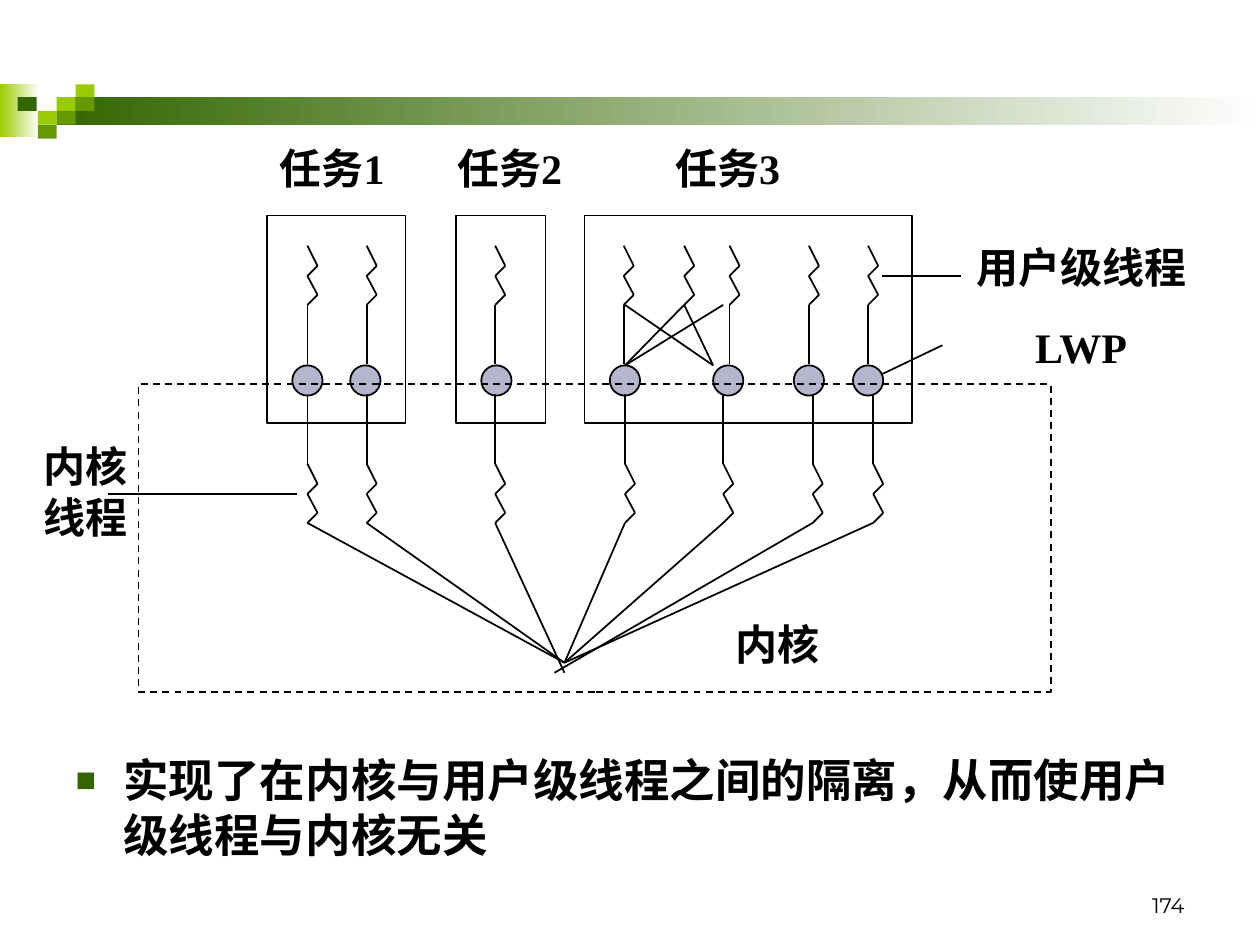
from lxml import etree
from pptx import Presentation
from pptx.dml.color import RGBColor
from pptx.enum import dml, shapes, text
from pptx.oxml import ns
from pptx.util import Inches, Pt

HUES = {"ink": "000000", "white": "FFFFFF", "dark": "336600",
        "mid": "669900", "lime": "99CC00", "node": "666699"}
RGB = {name: RGBColor.from_string(hue) for name, hue in HUES.items()}

deck = Presentation()
deck.slide_width, deck.slide_height = Inches(10), Inches(7.5)
slide = deck.slides.add_slide(deck.slide_layouts[1])
title = slide.shapes.title
title.element.getparent().remove(title.element)


def shape(kind, x, y, w, h, fill=None, line=None):
    """Add a preset shape; a pair of fill names makes a gradient to the right."""
    item = slide.shapes.add_shape(kind, *map(Inches, (x, y, w, h)))
    item.shadow.inherit = False
    if isinstance(fill, tuple):
        item.fill.gradient()
        item.fill.gradient_angle = 0
        for stop, name, spot in zip(item.fill.gradient_stops, fill, (0, 1)):
            stop.color.rgb = RGB[name]
            stop.position = spot
    elif fill:
        item.fill.solid()
        item.fill.fore_color.rgb = RGB[fill]
    else:
        item.fill.background()
    if line:
        item.line.color.rgb = RGB[line]
        item.line.width = Pt(1)
    else:
        item.line.fill.background()
    return item


def trace(*points):
    """Draw straight lines from each point to the next."""
    for start, end in zip(points, points[1:]):
        item = slide.shapes.add_connector(
            shapes.MSO_CONNECTOR.STRAIGHT, *map(Inches, start + end))
        item.line.color.rgb = RGB["ink"]
        item.line.width = Pt(1)
        etree.SubElement(item._element.spPr, ns.qn("a:effectLst"))


RECT, OVAL = shapes.MSO_SHAPE.RECTANGLE, shapes.MSO_SHAPE.OVAL

# Header band and its mosaic of small tiles
shape(RECT, 0, 0.67, 0.31, 0.42, ("lime", "white"))
shape(RECT, 0.45, 0.77, 9.55, 0.22, ("dark", "white"))
for x, y, name in [(0.45, 0.77, "lime"), (0.6, 0.67, "lime"), (0.6, 0.77, "mid"),
                   (0.3, 0.88, "lime"), (0.14, 0.77, "dark"),
                   (0.45, 0.88, "mid"), (0.3, 0.99, "mid")]:
    shape(RECT, x, y, 0.15, 0.11, name)

# Task boxes
for x, w in [(2.12, 1.1), (3.62, 0.71), (4.64, 2.6)]:
    shape(RECT, x, 1.71, w, 1.65, line="ink")

# Threads: zigzags drawn as (sideways, down) steps
ZIG = [(0, 0), (0.08, 0.16), (0, 0.24), (0.08, 0.39), (0, 0.47)]
for x in (2.44, 2.91, 3.93, 4.95, 5.43, 5.79, 6.42, 6.89):
    trace(*[(x + dx, 1.95 + dy) for dx, dy in ZIG])
    if x != 5.43:
        trace((x, 2.42), (x, 2.89))

HUB = (4.48, 5.26)
for x, end in [(2.44, HUB), (2.91, HUB), (3.93, (4.48, 5.34)), (4.96, HUB),
               (5.74, HUB), (6.45, (4.4, 5.34)), (6.93, HUB)]:
    trace((x, 3.13), *[(x + dx, 3.68 + dy) for dx, dy in ZIG], end)

# Lightweight processes and the crossing links of task 3
for x in (2.32, 2.78, 3.82, 4.84, 5.66, 6.3, 6.77):
    node = shape(OVAL, x, 2.9, 0.24, 0.24, "node", "ink")
    tint = node._element.spPr.find(ns.qn("a:solidFill"))[0]
    etree.SubElement(tint, ns.qn("a:alpha"), val="48000")
for top, foot in [(4.96, 5.66), (5.43, 5.66), (5.74, 4.96), (5.43, 4.96)]:
    trace((top, 2.42), (foot, 2.9))

kernel = shape(RECT, 1.1, 3.05, 7.24, 2.44, line="ink")
kernel.line.dash_style = dml.MSO_LINE.DASH

# Pointers from the labels
trace((7, 2.19), (7.63, 2.19))
trace((7, 2.97), (7.48, 2.74))
trace((2.36, 3.92), (0.86, 3.92))

# Labels
for words, x, y, w, h in [
        ("任务1", 2.08, 1.08, 1.11, 0.5), ("任务2", 3.49, 1.08, 1.11, 0.5),
        ("任务3", 5.22, 1.08, 1.11, 0.5), ("用户级线程", 7.63, 1.87, 1.9, 0.5),
        ("LWP", 8.1, 2.5, 0.96, 0.5), ("内核\n线程", 0.23, 3.45, 0.9, 0.9),
        ("内核", 5.72, 4.86, 0.9, 0.5)]:
    label = slide.shapes.add_textbox(*map(Inches, (x, y, w, h))).text_frame
    label.word_wrap = False
    label.auto_size = text.MSO_AUTO_SIZE.SHAPE_TO_FIT_TEXT
    label.text = words
    for para in label.paragraphs:
        para.alignment = text.PP_ALIGN.CENTER
        font = para.runs[0].font
        font.name, font.size, font.bold = "Times New Roman", Pt(24), True
        font.color.rgb = RGB["ink"]

# Conclusion
body = slide.placeholders[1]
body.left, body.top, body.width, body.height = map(Inches, (0.5, 5.92, 9, 1))
frame = body.text_frame
frame.auto_size = text.MSO_AUTO_SIZE.NONE
frame.text = "实现了在内核与用户级线程之间的隔离，从而使用户级线程与内核无关"
para = frame.paragraphs[0]
props = para._p.get_or_add_pPr()
props.set("marL", str(Inches(0.38)))
props.set("indent", str(Inches(-0.38)))
para.space_before = Pt(0)
tone = etree.SubElement(props, ns.qn("a:buClr"))
etree.SubElement(tone, ns.qn("a:srgbClr"), val=HUES["dark"])
etree.SubElement(props, ns.qn("a:buSzPct"), val="75000")
etree.SubElement(props, ns.qn("a:buFont"), typeface="Arial")
etree.SubElement(props, ns.qn("a:buChar"), char="■")
font = para.runs[0].font
font.name, font.size, font.bold = "Arial", Pt(26), True
font.color.rgb = RGB["ink"]

# Page number
page = slide.shapes.add_textbox(*map(Inches, (7.17, 6.83, 2.33, 0.5))).text_frame
page.word_wrap = True
page.vertical_anchor = text.MSO_ANCHOR.BOTTOM
page.text = "174"
para = page.paragraphs[0]
para.alignment = text.PP_ALIGN.RIGHT
font = para.runs[0].font
font.name, font.size = "Montserrat", Pt(12)
font.color.rgb = RGB["ink"]

deck.save("out.pptx")
